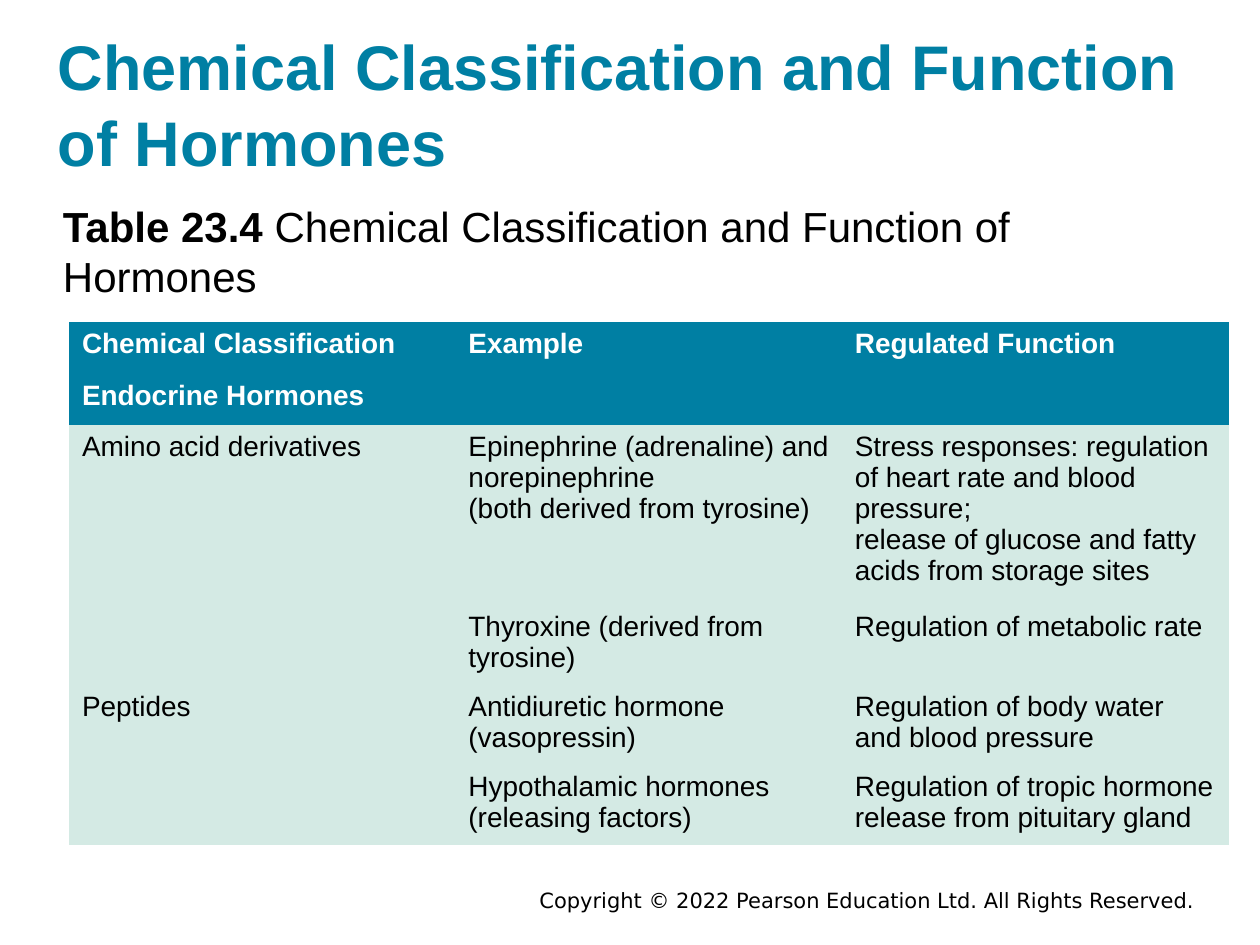
from dataclasses import dataclass

import pptx
import pptx.dml.color
import pptx.enum.text
import pptx.util
from pptx.util import Cm

TEAL, MINT, BLACK, WHITE = "007FA3", "D4EAE4", "000000", "FFFFFF"
NO_STYLE_NO_GRID = "{2D5ABB26-0587-4C30-8999-92F81FD0307C}"


@dataclass(frozen=True)
class TextStyle:
    size: int
    color: str = BLACK
    bold: bool = False
    font: str = "Arial"


@dataclass(frozen=True)
class Box:
    left: float
    top: float
    width: float
    height: float

    def lengths(self) -> tuple:
        return Cm(self.left), Cm(self.top), Cm(self.width), Cm(self.height)


@dataclass(frozen=True)
class HormoneRow:
    classification: str
    example: str
    function: str
    is_header: bool = False

    def texts(self) -> tuple:
        return self.classification, self.example, self.function


ROWS = [
    HormoneRow("Chemical Classification", "Example", "Regulated Function", True),
    HormoneRow("Endocrine Hormones", "", "", True),
    HormoneRow(
        "Amino acid derivatives",
        "Epinephrine (adrenaline) and norepinephrine\n(both derived from tyrosine)",
        "Stress responses: regulation of heart rate and blood pressure;\n"
        "release of glucose and fatty acids from storage sites",
    ),
    HormoneRow("", "Thyroxine (derived from tyrosine)", "Regulation of metabolic rate"),
    HormoneRow(
        "Peptides",
        "Antidiuretic hormone (vasopressin)",
        "Regulation of body water and blood pressure",
    ),
    HormoneRow(
        "",
        "Hypothalamic hormones (releasing factors)",
        "Regulation of tropic hormone release from pituitary gland",
    ),
]


def rgb(color: str) -> pptx.dml.color.RGBColor:
    return pptx.dml.color.RGBColor.from_string(color)


def apply_style(font, style: TextStyle) -> None:
    font.name = style.font
    font.size = pptx.util.Pt(style.size)
    font.bold = style.bold
    font.color.rgb = rgb(style.color)


def add_text(slide, box: Box, text: str, style: TextStyle, middle: bool = True):
    """Add a wrapped text box without insets and return its paragraph."""
    frame = slide.shapes.add_textbox(*box.lengths()).text_frame
    frame.word_wrap = True
    frame.margin_left = frame.margin_right = frame.margin_top = frame.margin_bottom = 0
    anchor = pptx.enum.text.MSO_ANCHOR
    frame.vertical_anchor = anchor.MIDDLE if middle else anchor.TOP
    paragraph = frame.paragraphs[0]
    paragraph.text = text
    apply_style(paragraph.font, style)
    return paragraph


def add_hormone_table(slide, box: Box, rows: list[HormoneRow]) -> None:
    table = slide.shapes.add_table(len(rows), 3, *box.lengths()).table
    table._tbl.tblPr.xpath("a:tableStyleId")[0].text = NO_STYLE_NO_GRID
    table.horz_banding = False
    for row_index, row in enumerate(rows):
        style = TextStyle(16, WHITE if row.is_header else BLACK, row.is_header)
        for column_index, text in enumerate(row.texts()):
            cell = table.cell(row_index, column_index)
            cell.text = text
            cell.fill.solid()
            cell.fill.fore_color.rgb = rgb(TEAL if row.is_header else MINT)
            for paragraph in cell.text_frame.paragraphs:
                apply_style(paragraph.font, style)


def main() -> None:
    presentation = pptx.Presentation()
    presentation.slide_width, presentation.slide_height = Cm(25.4), Cm(19.05)
    slide = presentation.slides.add_slide(presentation.slide_layouts[6])

    copyright_line = add_text(
        slide,
        Box(4.45, 17.86, 19.63, 0.56),
        "Copyright © 2022 Pearson Education Ltd. All Rights Reserved.",
        TextStyle(12, font="DejaVu Sans"),
    )
    copyright_line.alignment = pptx.enum.text.PP_ALIGN.RIGHT

    title = "Chemical Classification and Function of Hormones"
    add_text(slide, Box(1.17, 0.51, 23.06, 3.15), title, TextStyle(36, TEAL, True))

    caption = add_text(
        slide, Box(1.27, 4.04, 22.86, 1.98), "", TextStyle(24), middle=False
    )
    table_number = caption.add_run()
    table_number.text = "Table 23.4 "
    table_number.font.bold = True
    caption.add_run().text = title

    add_hormone_table(slide, Box(1.4, 6.5, 23.37, 6.18), ROWS)
    presentation.save("out.pptx")


if __name__ == "__main__":
    main()
